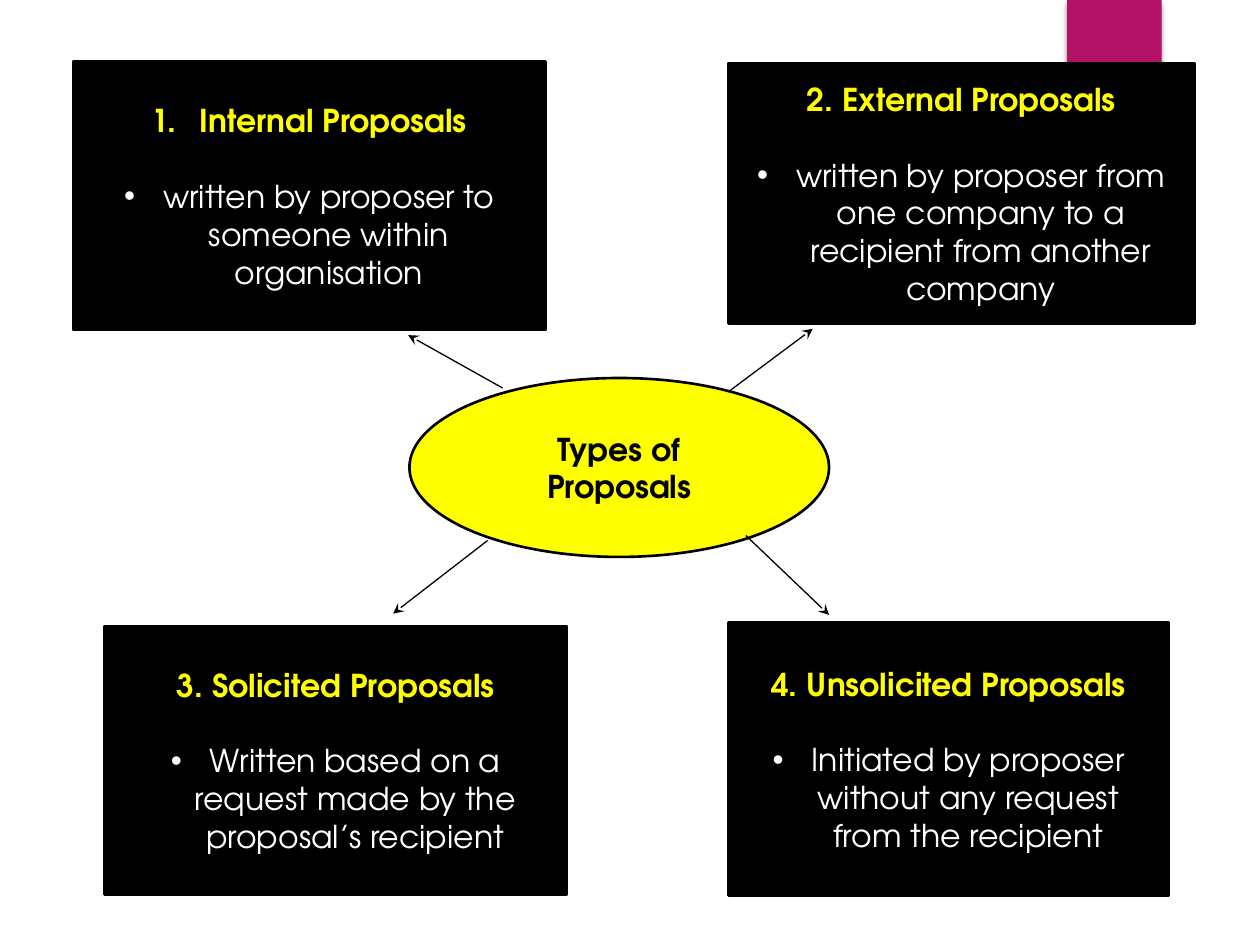
from lxml.etree import SubElement
from pptx import Presentation
from pptx.dml.color import RGBColor
from pptx.enum.shapes import MSO_CONNECTOR, MSO_SHAPE
from pptx.enum.text import MSO_ANCHOR, PP_ALIGN
from pptx.oxml.ns import qn
from pptx.util import Inches, Pt

FONT = "TeX Gyre Adventor"
BLACK, WHITE, YELLOW, MAGENTA = "000000", "FFFFFF", "FFFF00", "B31166"
LINE_HEIGHT = 21.6  # points, one line of 18 pt text

# Content: box (left, top, width, height), heading, is it auto-numbered, point
PROPOSALS = [
    ((0.58, 0.49, 3.75, 2.13), "Internal Proposals", True,
     "written by proposer to someone within organisation"),
    ((5.78, 0.5, 3.7, 2.07), "2. External Proposals", False,
     "written by proposer from one company to a recipient from another company"),
    ((0.83, 4.97, 3.67, 2.13), "3. Solicited Proposals", False,
     "Written based on a request made by the proposal’s recipient"),
    ((5.78, 4.94, 3.5, 2.17), "4. Unsolicited Proposals", False,
     "Initiated by proposer without any request from the recipient"),
]
HUB = (3.25, 3, 3.33, 1.42)
TAB = (8.47, 0, 0.75, 1.2)
# Arrows from the hub: x1, y1, x2, y2
ARROWS = [
    (3.99, 3.08, 3.24, 2.66),
    (5.78, 3.11, 6.45, 2.61),
    (3.87, 4.29, 3.12, 4.87),
    (5.92, 4.25, 6.58, 4.88),
]


def rgb(value):
    return RGBColor.from_string(value)


def add_box(kind, box, fill, line=None):
    sp = s.shapes.add_shape(kind, *map(Inches, box))
    sp.shadow.inherit = False
    sp.fill.solid()
    sp.fill.fore_color.rgb = rgb(fill)
    if line:
        sp.line.color.rgb = rgb(line)
        sp.line.width = Pt(1.5)
    else:
        sp.line.fill.background()
    sp.text_frame.word_wrap = True
    sp.text_frame.vertical_anchor = MSO_ANCHOR.MIDDLE
    return sp


def add_text(p, text, color=BLACK, bold=False, bullet=None, indent=0.0, before=0):
    """Fill a centred paragraph; bullet is a character, or "1." for numbering."""
    if bullet:
        pPr = p._p.get_or_add_pPr()
        pPr.set("marL", str(Inches(indent)))
        pPr.set("indent", str(-Inches(indent)))
        SubElement(SubElement(pPr, qn("a:buClr")), qn("a:srgbClr"), val=color)
        if bullet == "1.":
            SubElement(pPr, qn("a:buFont"), typeface=FONT)
            SubElement(pPr, qn("a:buAutoNum"), type="arabicPeriod")
        else:
            SubElement(pPr, qn("a:buFont"), typeface="Arial")
            SubElement(pPr, qn("a:buChar"), char=bullet)
    p.alignment = PP_ALIGN.CENTER
    if before:
        p.space_before = Pt(before)
    r = p.add_run()
    r.text = text
    r.font.name = FONT
    r.font.size = Pt(18)
    r.font.bold = bold
    r.font.color.rgb = rgb(color)


def add_arrow(x1, y1, x2, y2):
    c = s.shapes.add_connector(MSO_CONNECTOR.STRAIGHT, *map(Inches, (x1, y1, x2, y2)))
    c.line.color.rgb = rgb(BLACK)
    c.line.width = Pt(0.75)
    SubElement(c.line._get_or_add_ln(), qn("a:tailEnd"), type="stealth")
    SubElement(c._element.spPr, qn("a:effectLst"))


prs = Presentation()
prs.slide_width, prs.slide_height = Inches(10), Inches(7.5)
s = prs.slides.add_slide(prs.slide_layouts[6])

# Corner tab with a soft shadow below it
tab = add_box(MSO_SHAPE.RECTANGLE, TAB, MAGENTA)
shadow = SubElement(tab._element.spPr.find(qn("a:effectLst")), qn("a:outerShdw"),
                    blurRad=str(Pt(3)), dist=str(Pt(2)), dir="5400000")
shadow_color = SubElement(shadow, qn("a:srgbClr"), val=BLACK)
SubElement(shadow_color, qn("a:alpha"), val="44000")

# Hub and its arrows
hub = add_box(MSO_SHAPE.OVAL, HUB, YELLOW, BLACK)
add_text(hub.text_frame.paragraphs[0], "Types of Proposals", bold=True)
for arrow in ARROWS:
    add_arrow(*arrow)

# The four proposal types
for box, heading, numbered, point in PROPOSALS:
    tf = add_box(MSO_SHAPE.RECTANGLE, box, BLACK, BLACK).text_frame
    add_text(tf.paragraphs[0], heading, color=YELLOW, bold=True,
             bullet="1." if numbered else None, indent=0.38)
    add_text(tf.add_paragraph(), point, color=WHITE, bullet="•", indent=0.31,
             before=LINE_HEIGHT)

prs.save("out.pptx")
